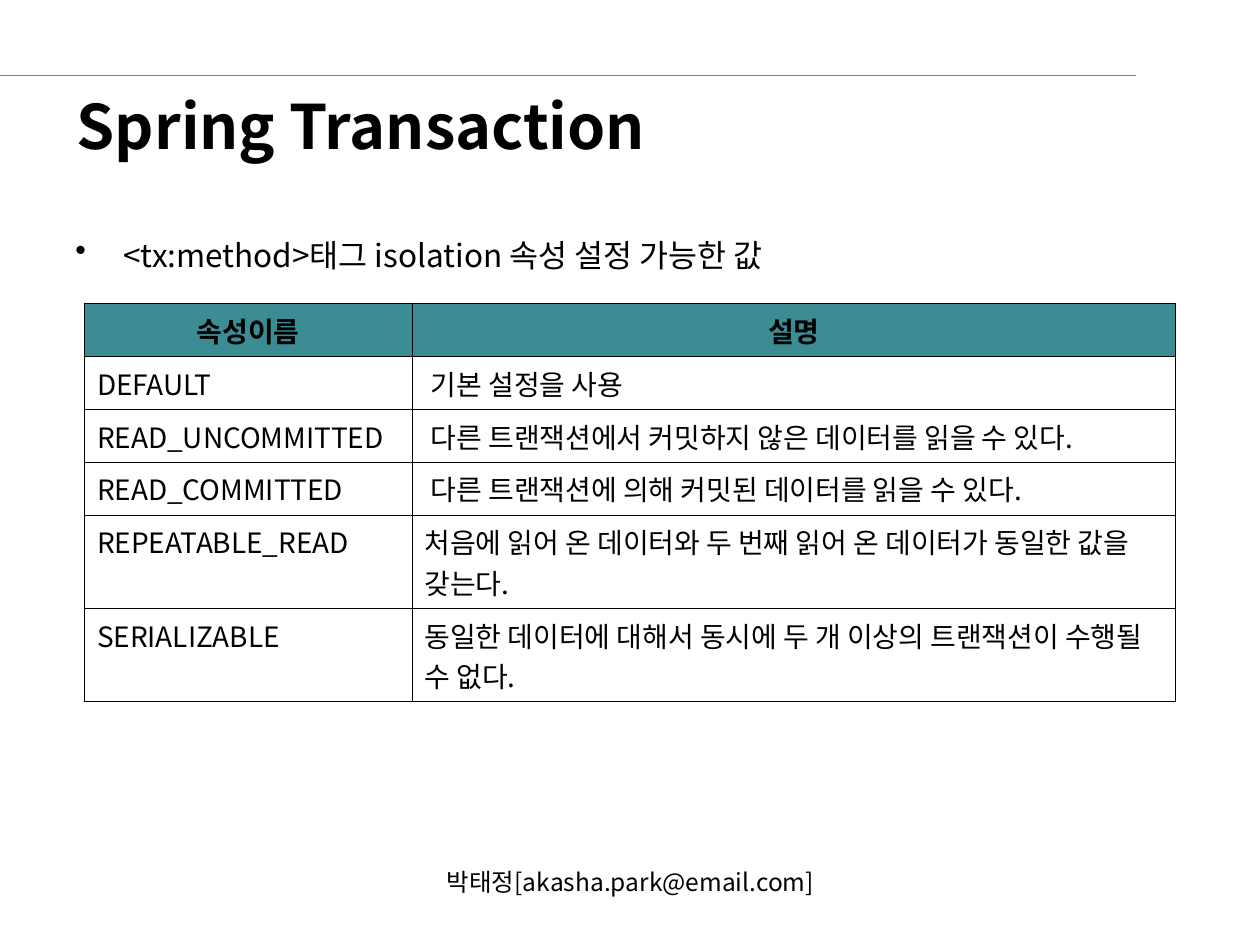
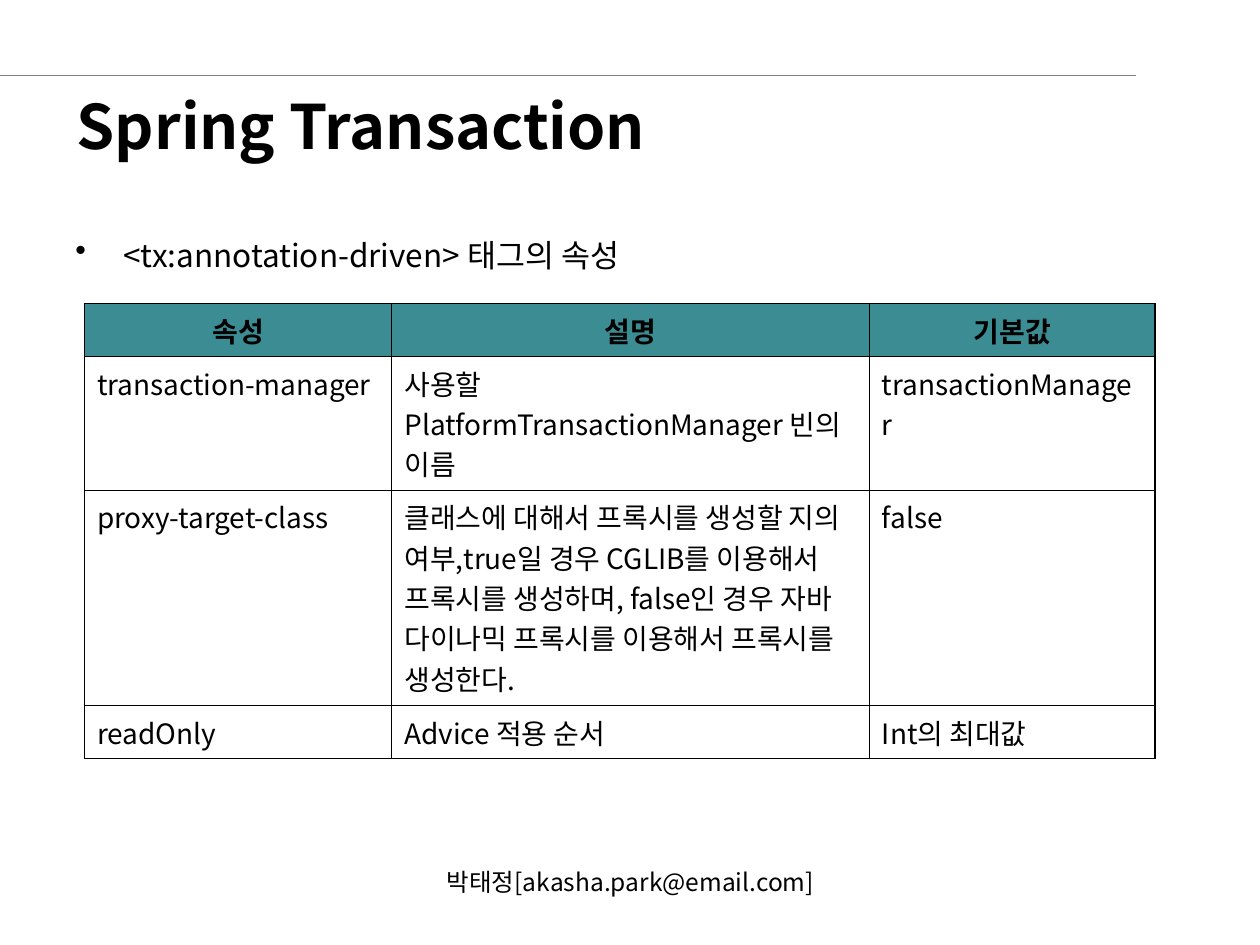
"""Build two slides on Spring transaction attributes, each with a table."""
from lxml import etree
from pptx import Presentation
from pptx import util as u
from pptx.dml.color import RGBColor
from pptx.enum import shapes, text
from pptx.oxml.ns import qn

FONT = "Noto Sans CJK KR"
BLACK = RGBColor(0x00, 0x00, 0x00)
GRAY = RGBColor(0x80, 0x80, 0x80)
TEAL = RGBColor(0x3C, 0x8C, 0x93)
THIN, THICK = u.Pt(0.45), u.Pt(1.08)
TITLE = "Spring Transaction"
FOOTER = "박태정[akasha.park@email.com]"

PAGES = [
    ("<tx:method>태그 isolation 속성 설정 가능한 값",
     [2.6, 6.06],
     [0.42, 0.42, 0.42, 0.42, 0.74, 0.74],
     [["속성이름", "설명"],
      ["DEFAULT", " 기본 설정을 사용"],
      ["READ_UNCOMMITTED", " 다른 트랜잭션에서 커밋하지 않은 데이터를 읽을 수 있다."],
      ["READ_COMMITTED", " 다른 트랜잭션에 의해 커밋된 데이터를 읽을 수 있다."],
      ["REPEATABLE_READ",
       "처음에 읽어 온 데이터와 두 번째 읽어 온 데이터가 동일한 값을 갖는다."],
      ["SERIALIZABLE",
       "동일한 데이터에 대해서 동시에 두 개 이상의 트랜잭션이 수행될 수 없다."]]),
    ("<tx:annotation-driven> 태그의 속성",
     [2.44, 3.79, 2.27],
     [0.42, 1.06, 1.71, 0.42],
     [["속성", "설명", "기본값"],
      ["transaction-manager", "사용할 PlatformTransactionManager 빈의 이름",
       "transactionManager"],
      ["proxy-target-class",
       "클래스에 대해서 프록시를 생성할 지의 여부,true일 경우 CGLIB를 이용해서 "
       "프록시를 생성하며, false인 경우 자바 다이나믹 프록시를 이용해서 프록시를 생성한다.",
       "false"],
      ["readOnly", "Advice 적용 순서", "Int의 최대값"]]),
]


def write(frame, words, size, bold=False, center=False):
    """Fill a text frame with one styled paragraph and return it."""
    frame.word_wrap = True
    par = frame.paragraphs[0]
    par.text = words
    par.alignment = text.PP_ALIGN.CENTER if center else text.PP_ALIGN.LEFT
    font = par.font
    font.size, font.bold, font.name = u.Pt(size), bold, FONT
    font.color.rgb = BLACK
    base = par._p.pPr.find(qn("a:defRPr"))
    etree.SubElement(base, qn("a:ea"), typeface=FONT)
    return par


def edge(cell, side, width):
    """Draw one black border of a table cell."""
    props = cell._tc.get_or_add_tcPr()
    line = etree.Element(qn(f"a:ln{side}"), w=str(width))
    fill = etree.SubElement(line, qn("a:solidFill"))
    etree.SubElement(fill, qn("a:srgbClr"), val=str(BLACK))
    props.insert("LRTB".index(side), line)


deck = Presentation()
deck.slide_width, deck.slide_height = u.Inches(10), u.Inches(7.5)

for topic, widths, heights, rows in PAGES:
    slide = deck.slides.add_slide(deck.slide_layouts[6])

    rule = slide.shapes.add_connector(
        shapes.MSO_CONNECTOR.STRAIGHT,
        u.Inches(-0.04), u.Inches(0.6), u.Inches(9.02), u.Inches(0.6))
    rule.line.color.rgb = GRAY
    rule.line.width = u.Pt(0.75)
    etree.SubElement(rule._element.spPr, qn("a:effectLst"))

    title = slide.shapes.add_textbox(
        u.Inches(0.51), u.Inches(0.6), u.Inches(8.25), u.Inches(0.78))
    title.text_frame.vertical_anchor = text.MSO_ANCHOR.MIDDLE
    write(title.text_frame, TITLE, 35, bold=True)

    body = slide.shapes.add_textbox(
        u.Inches(0.5), u.Inches(1.88), u.Inches(8.28), u.Inches(0.53))
    par = write(body.text_frame, topic, 18)
    par.line_spacing = 0.8
    par.space_before = u.Pt(4.5)
    props = par._p.pPr
    props.set("marL", str(u.Inches(0.38)))
    props.set("indent", str(u.Inches(-0.38)))
    mark = etree.Element(qn("a:buChar"), char="•")
    props.find(qn("a:defRPr")).addprevious(mark)

    table = slide.shapes.add_table(
        len(rows), len(widths), u.Inches(0.67), u.Inches(2.41),
        u.Inches(sum(widths)), u.Inches(sum(heights))).table
    table.first_row = table.horz_banding = False
    for col, width in zip(table.columns, widths):
        col.width = u.Inches(width)
    for row, height in zip(table.rows, heights):
        row.height = u.Inches(height)

    for r, row in enumerate(rows):
        for c, words in enumerate(row):
            cell = table.cell(r, c)
            head = r == 0
            par = write(cell.text_frame, words, 16, bold=head, center=head)
            par.space_before = u.Pt(4)
            if head:
                cell.fill.solid()
                cell.fill.fore_color.rgb = TEAL
            else:
                cell.fill.background()
            outer = {"L": c == 0, "R": c == len(row) - 1,
                     "T": head, "B": r == len(rows) - 1}
            for side in "LRTB":
                edge(cell, side, THICK if outer[side] else THIN)

    foot = slide.shapes.add_textbox(
        u.Inches(3.42), u.Inches(6.83), u.Inches(3.17), u.Inches(0.5))
    write(foot.text_frame, FOOTER, 14, center=True)

deck.save("out.pptx")
